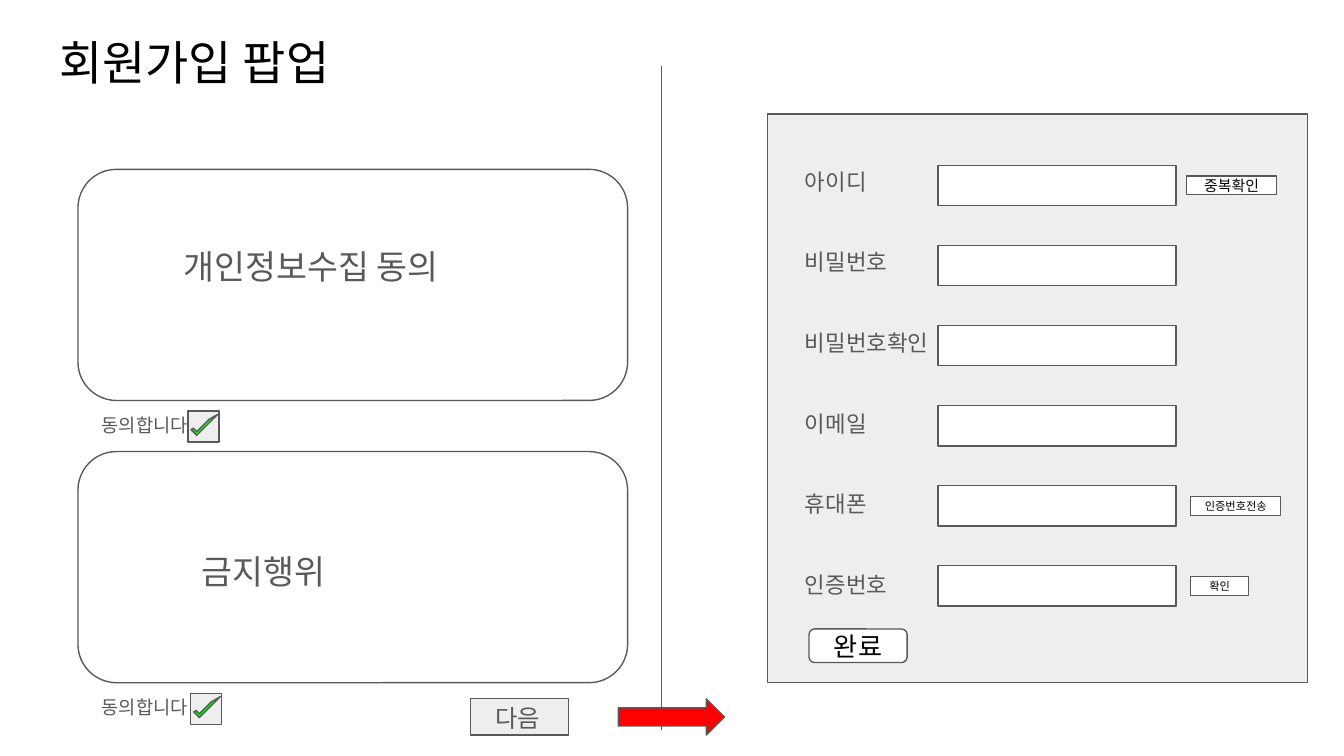
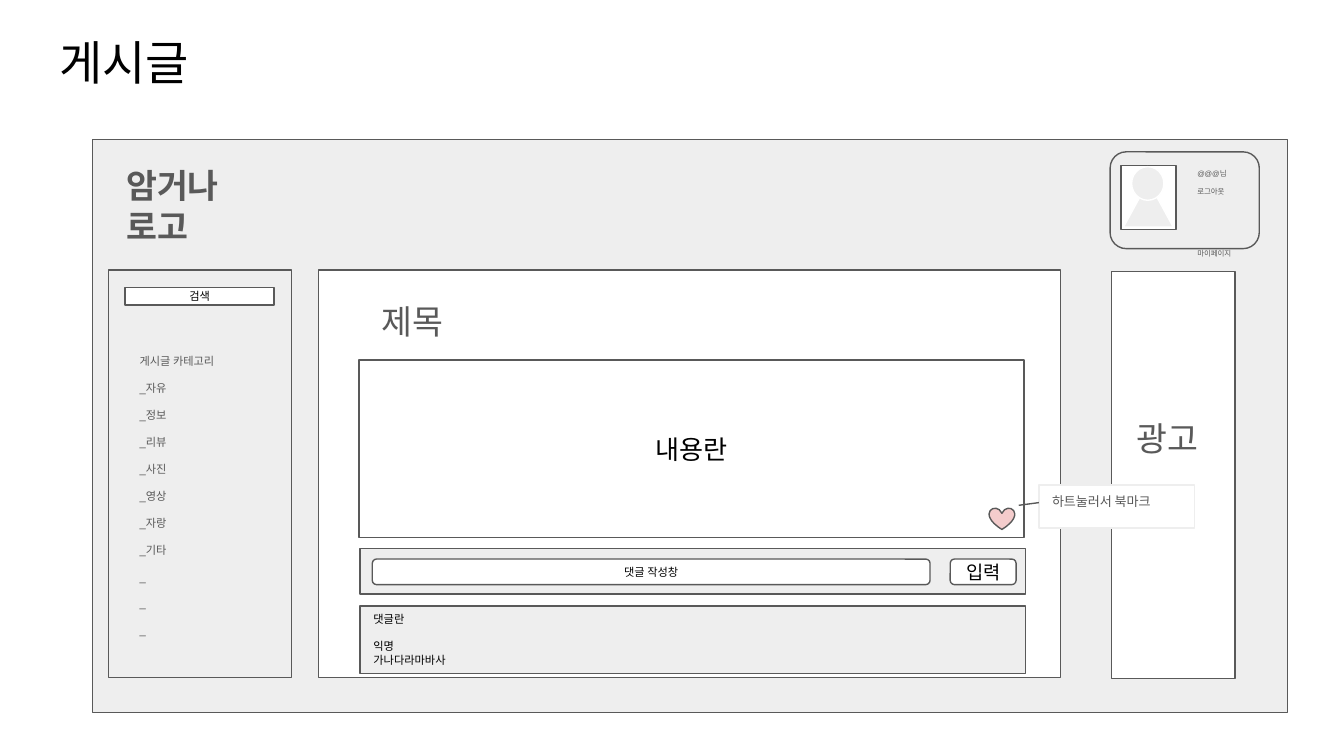
from dataclasses import dataclass
from lxml.etree import SubElement
from pptx import Presentation
from pptx.dml.color import RGBColor
from pptx.enum.shapes import MSO_CONNECTOR, MSO_SHAPE
from pptx.enum.text import MSO_ANCHOR, MSO_AUTO_SIZE, PP_ALIGN
from pptx.oxml.ns import qn
from pptx.util import Inches, Pt


@dataclass(frozen=True)
class Theme:
    font: str = "Arial"
    black: str = "000000"
    grey: str = "595959"
    pale: str = "EEEEEE"
    white: str = "FFFFFF"
    check: str = "00FF00"
    arrow: str = "FF0000"
    heart: str = "F4CCCC"
    line: float = 0.75
    inset: float = 0.1
    title: float = 25.2
    heading: float = 18
    button: float = 14
    next: float = 13
    label: float = 12
    note: float = 10
    check_id: float = 8
    callout: float = 7
    small: float = 6
    tiny: float = 4


THEME = Theme()
PAGE_WIDTH = 10
PAGE_HEIGHT = PAGE_WIDTH * 9 / 16
TITLE_BOX = (0.34, 0.15, 9.32, 0.63)


def write(frame, lines, size, color=THEME.grey, align=PP_ALIGN.LEFT,
          anchor=MSO_ANCHOR.TOP, gaps=(), bold=False, wrap=True,
          top=THEME.inset):
    frame_format = {
        "word_wrap": wrap,
        "auto_size": MSO_AUTO_SIZE.NONE,
        "vertical_anchor": anchor,
        "margin_top": Inches(top),
    }
    for side in ("left", "right", "bottom"):
        frame_format[f"margin_{side}"] = Inches(THEME.inset)
    for name, value in frame_format.items():
        setattr(frame, name, value)
    font_format = {"name": THEME.font, "size": Pt(size), "bold": bold}
    for index, line in enumerate(lines):
        paragraph = frame.add_paragraph() if index else frame.paragraphs[0]
        paragraph.alignment = align
        paragraph.space_before = Pt(gaps[index] if index < len(gaps) else 0)
        run = paragraph.add_run()
        run.text = line
        for name, value in font_format.items():
            setattr(run.font, name, value)
        run.font.color.rgb = RGBColor.from_string(color)


@dataclass
class Region:
    shapes: object
    x: float
    y: float
    w: float
    h: float

    def inner(self, x, y, w, h):
        return Region(self.shapes, self.x + x, self.y + y, w, h)

    def group(self):
        return Region(self.shapes.add_group_shape().shapes,
                      self.x, self.y, self.w, self.h)

    def lengths(self):
        return [Inches(value) for value in (self.x, self.y, self.w, self.h)]

    def draw(self, kind=MSO_SHAPE.RECTANGLE, fill=THEME.white, line=THEME.grey):
        shape = self.shapes.add_shape(kind, *self.lengths())
        shape.shadow.inherit = False
        shape.fill.solid()
        shape.fill.fore_color.rgb = RGBColor.from_string(fill)
        shape.line.color.rgb = RGBColor.from_string(line)
        shape.line.width = Pt(THEME.line)
        return shape

    def button(self, caption, size, kind=MSO_SHAPE.RECTANGLE):
        write(self.draw(kind).text_frame, [caption], size, THEME.black,
              PP_ALIGN.CENTER, MSO_ANCHOR.MIDDLE)

    def text(self, lines, size, **options):
        write(self.shapes.add_textbox(*self.lengths()).text_frame,
              lines, size, **options)

    def connect(self, x1, y1, x2, y2):
        ends = (self.x + x1, self.y + y1, self.x + x2, self.y + y2)
        connector = self.shapes.add_connector(
            MSO_CONNECTOR.STRAIGHT, *[Inches(end) for end in ends])
        connector.line.color.rgb = RGBColor.from_string(THEME.grey)
        connector.line.width = Pt(THEME.line)
        SubElement(connector._element.spPr, qn("a:effectLst"))


def titled_page(deck, title):
    slide = deck.slides.add_slide(deck.slide_layouts[5])
    heading = slide.shapes.title
    for name, value in zip(("left", "top", "width", "height"), TITLE_BOX):
        setattr(heading, name, Inches(value))
    write(heading.text_frame, [title], THEME.title, THEME.black)
    return Region(slide.shapes, 0, 0, PAGE_WIDTH, PAGE_HEIGHT)


def consent(box, terms, terms_x, terms_y, check_x):
    box.draw(MSO_SHAPE.ROUNDED_RECTANGLE)
    box.inner(terms_x, terms_y, 2.69, 0.5).text([terms], THEME.heading)
    box.inner(0.08, box.h, 0.84, 0.37).text(["동의합니다"], THEME.note, wrap=False)
    checkbox = box.inner(check_x, box.h + 0.08, 0.23, 0.23).group()
    checkbox.draw(fill=THEME.pale)
    tick = checkbox.inner(0.09, -0.03, 0.06, 0.22)
    tick.draw(MSO_SHAPE.HALF_FRAME, THEME.check).rotation = 225


def next_step(box):
    box.inner(0, 0, 0.73, box.h).draw(fill=THEME.pale)
    box.inner(0.09, -0.07, 0.98, 0.42).text(["다음"], THEME.next)
    box.inner(1.1, 0, 0.79, box.h).draw(MSO_SHAPE.RIGHT_ARROW, THEME.arrow)


def sign_up_form(box):
    labels = ["아이디", "비밀번호", "비밀번호확인", "이메일", "휴대폰", "인증번호"]
    actions = {
        0: ("중복확인", 3.12, 0.67, THEME.check_id),
        4: ("인증번호전송", 3.15, 0.67, THEME.small),
        5: ("확인", 3.15, 0.43, THEME.small),
    }
    pitch = 2.98 / 5
    box.draw(fill=THEME.pale)
    box.inner(0.18, 0.3, 2.69, 3.43).text(
        labels, THEME.label, gaps=[0] + [28.8] * 5)
    for row in range(len(labels)):
        box.inner(1.27, 0.38 + row * pitch, 1.77, 0.3).draw()
        if row in actions:
            caption, x, width, size = actions[row]
            box.inner(x, 0.46 + row * pitch, width, 0.14).button(caption, size)
    box.inner(0.31, 3.83, 0.73, 0.25).button(
        "완료", THEME.button, MSO_SHAPE.ROUNDED_RECTANGLE)


def sign_up_page(deck):
    page = titled_page(deck, "회원가입 팝업")
    consent(page.inner(0.58, 1.26, 4.09, 1.72), "개인정보수집 동의", 0.69, 0.47, 0.82)
    consent(page.inner(0.58, 3.36, 4.09, 1.72), "금지행위", 0.82, 0.64, 0.84)
    page.connect(4.92, 0.49, 4.92, 5.43)
    next_step(page.inner(3.5, 5.2, 1.89, 0.27))
    sign_up_form(page.inner(5.71, 0.85, 4.02, 4.23))


def sidebar(box):
    names = ["자유", "정보", "리뷰", "사진", "영상", "자랑", "기타", "", "", ""]
    categories = ["게시글 카테고리"] + [f"_{name}" for name in names]
    box.draw(fill=THEME.pale)
    box.inner(0.12, 0.13, 1.11, 0.13).button("검색", THEME.small)
    box.inner(0.13, 0.53, 1.11, 2.37).text(
        categories, THEME.small, gaps=[0] + [7.2] * len(names))


def account(box):
    box.draw(MSO_SHAPE.ROUNDED_RECTANGLE, THEME.pale)
    box.inner(0.55, 0.03, 0.49, 0.74).text(
        ["@@@님", "로그아웃", "마이페이지"], THEME.tiny, gaps=[0, 4.6, 28.4])
    portrait = box.inner(0.08, 0.1, 0.41, 0.48).group()
    portrait.draw()
    portrait.inner(0.02, 0.12, 0.37, 0.34).draw(
        MSO_SHAPE.ISOSCELES_TRIANGLE, THEME.pale, THEME.white)
    portrait.inner(0.08, 0.01, 0.24, 0.25).draw(
        MSO_SHAPE.OVAL, THEME.pale, THEME.white)


def advert(box):
    box.draw()
    box.inner(0.09, 0.99, 0.79, 0.5).text(["광고"], THEME.heading)


def comment_entry(box):
    box.draw(fill=THEME.pale)
    for caption, x, width, size in (
        ("댓글 작성창", 0.09, 4.15, THEME.small),
        ("입력", 4.39, 0.49, THEME.note),
    ):
        box.inner(x, 0.08, width, 0.19).button(
            caption, size, MSO_SHAPE.ROUNDED_RECTANGLE)


def post(box):
    box.draw()
    box.inner(0.37, 0.13, 2.69, 0.5).text(["제목"], THEME.heading)
    box.inner(0.3, 0.67, 4.95, 1.32).button("내용란", THEME.button)
    comment_entry(box.inner(0.31, 2.07, 4.95, 0.34))
    comments = box.inner(0.31, 2.5, 4.95, 0.5).draw(fill=THEME.pale)
    write(comments.text_frame, ["댓글란", "익명", "가나다라마바사"], THEME.small,
          THEME.black, anchor=MSO_ANCHOR.MIDDLE, gaps=[0, 7.2])


def bookmark(box):
    box.inner(0, 0.17, 0.19, 0.16).draw(MSO_SHAPE.HEART, THEME.heart)
    callout = box.inner(0.37, 0, 1.16, box.h).draw(line=THEME.pale)
    write(callout.text_frame, ["하트눌러서 북마크"], THEME.callout, top=0.06)
    box.connect(0.22, 0.15, 0.37, 0.13)


def post_page(deck):
    page = titled_page(deck, "게시글")
    board = page.inner(0.69, 1.04, 8.89, 4.26)
    board.draw(fill=THEME.pale)
    board.inner(0.15, 0.09, 1.29, 0.81).text(
        ["암거나 로고"], THEME.heading, bold=True)
    sidebar(board.inner(0.12, 0.97, 1.36, 3.03))
    advert(board.inner(7.58, 0.98, 0.92, 3.03))
    account(board.inner(7.57, 0.09, 1.11, 0.72))
    post(board.inner(1.68, 0.97, 5.52, 3.03))
    bookmark(board.inner(6.67, 2.57, 1.53, 0.32))


def main():
    deck = Presentation()
    deck.slide_width = Inches(PAGE_WIDTH)
    deck.slide_height = Inches(PAGE_HEIGHT)
    sign_up_page(deck)
    post_page(deck)
    deck.save("out.pptx")


if __name__ == "__main__":
    main()
